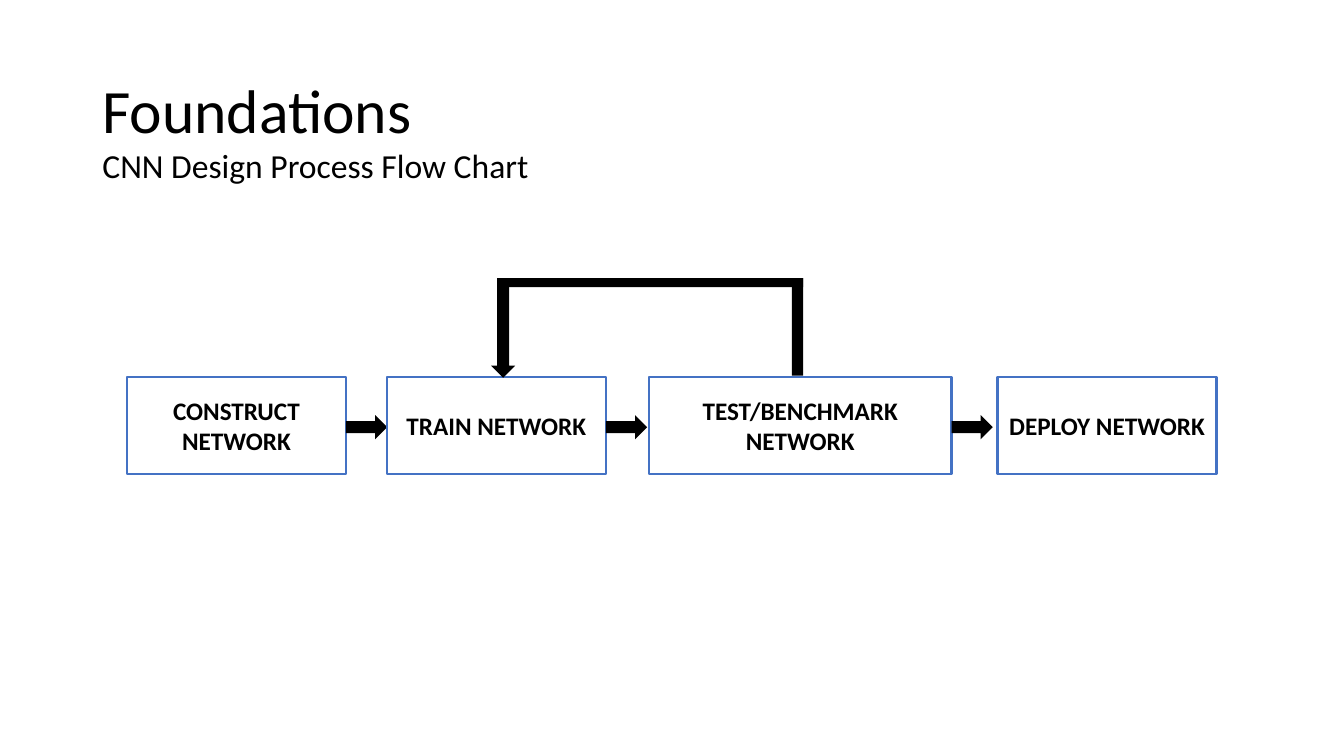
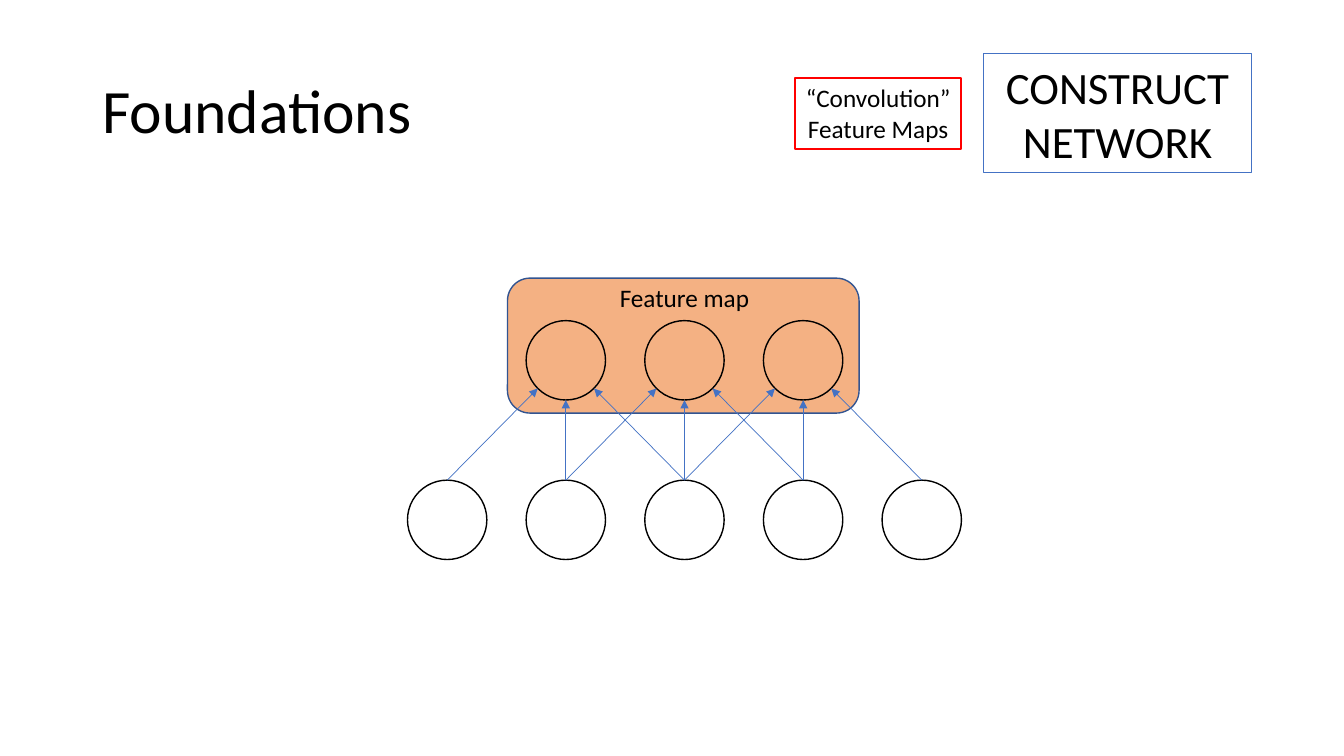
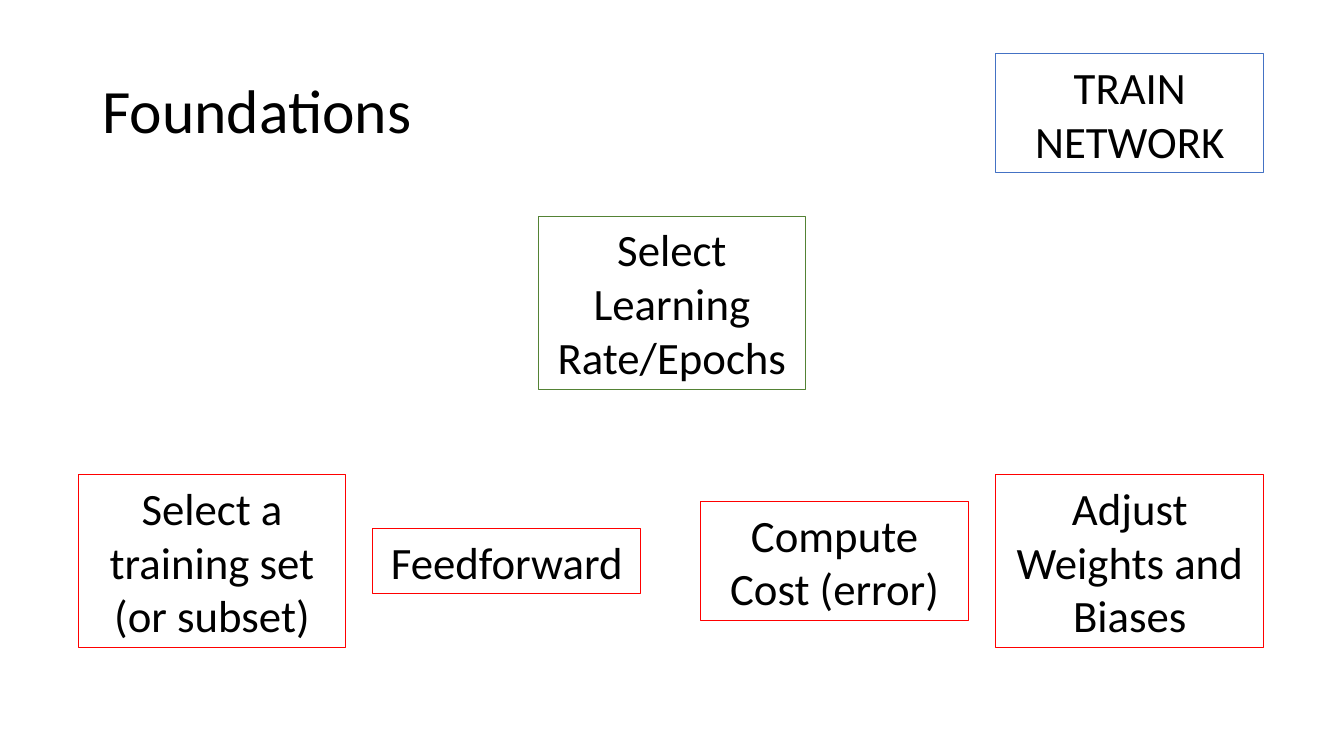
from pptx import Presentation
from pptx.dml.color import RGBColor
from pptx.enum.shapes import MSO_CONNECTOR, MSO_SHAPE
from pptx.enum.text import MSO_ANCHOR, PP_ALIGN
from pptx.oxml.ns import qn
from pptx.util import Cm, Pt
from lxml import etree

RECTANGLE = MSO_SHAPE.RECTANGLE
ROUNDED = MSO_SHAPE.ROUNDED_RECTANGLE
OVAL = MSO_SHAPE.OVAL
RIGHT_ARROW = MSO_SHAPE.RIGHT_ARROW
DOWN_ARROW = MSO_SHAPE.DOWN_ARROW
STRAIGHT = MSO_CONNECTOR.STRAIGHT
TOP, MIDDLE = MSO_ANCHOR.TOP, MSO_ANCHOR.MIDDLE
LEFT, CENTER = PP_ALIGN.LEFT, PP_ALIGN.CENTER

FONT = "Calibri"
BLACK = RGBColor(0x00, 0x00, 0x00)
BLUE = RGBColor(0x44, 0x72, 0xC4)
DARK_BLUE = RGBColor(0x32, 0x54, 0x91)
RED = RGBColor(0xFF, 0x00, 0x00)
GREEN = RGBColor(0x54, 0x82, 0x35)
ORANGE = RGBColor(0xF4, 0xB1, 0x83)

# Boxes are (left, top, width, height) in centimetres
TITLE_BOX = (2.33, 1.02, 29.21, 3.68)
SUBTITLE_BOX = (2.33, 3.76, 11.4, 0.91)
CARD_WIDTH = 6.75
CARD_LINE_HEIGHT = 1.37
CARD_PADDING = 0.26


# Shared parts
def set_text(shape, text, size=18, bold=False, align=CENTER, anchor=MIDDLE,
             spacing=1.0, wrap=True):
    frame = shape.text_frame
    frame.word_wrap = wrap
    frame.vertical_anchor = anchor
    frame.text = text
    for paragraph in frame.paragraphs:
        paragraph.alignment = align
        paragraph.line_spacing = spacing
        paragraph.font.name = FONT
        paragraph.font.size = Pt(size)
        paragraph.font.bold = bold
        paragraph.font.color.rgb = BLACK


def add_label(slide, box, text, **text_format):
    label = slide.shapes.add_textbox(*map(Cm, box))
    set_text(label, text, **text_format)


def add_shape(slide, kind, box, fill=None, line=None, line_width=1):
    shape = slide.shapes.add_shape(kind, *map(Cm, box))
    shape.shadow.inherit = False
    if fill is None:
        shape.fill.background()
    else:
        shape.fill.solid()
        shape.fill.fore_color.rgb = fill
    if line is None:
        shape.line.fill.background()
    else:
        shape.line.color.rgb = line
        shape.line.width = Pt(line_width)
    return shape


def add_arrow(slide, start, end):
    arrow = slide.shapes.add_connector(STRAIGHT, *map(Cm, start + end))
    arrow.line.color.rgb = BLUE
    arrow.line.width = Pt(0.5)
    etree.SubElement(arrow.line._get_or_add_ln(), qn("a:tailEnd"), type="triangle")
    etree.SubElement(arrow._element.spPr, qn("a:effectLst"))


def add_card(slide, left, middle, text, line_count, color):
    """Outlined card, centred vertically on middle."""
    height = line_count * CARD_LINE_HEIGHT + CARD_PADDING
    box = (left, middle - height / 2, CARD_WIDTH, height)
    card = add_shape(slide, RECTANGLE, box, line=color, line_width=0.75)
    set_text(card, text, size=32)


def add_titled_slide(presentation):
    slide = presentation.slides.add_slide(presentation.slide_layouts[6])
    add_label(slide, TITLE_BOX, "Foundations", size=44, align=LEFT, spacing=0.9)
    return slide


# Process flow
def add_process(slide, top, height, steps):
    arrow_width, arrow_height = 1.04, 0.61
    arrow_top = top + (height - arrow_height) / 2 + 0.04
    for index, (text, left, width) in enumerate(steps):
        step = add_shape(slide, RECTANGLE, (left, top, width, height),
                         line=BLUE, line_width=1.5)
        set_text(step, text, bold=True)
        if index < len(steps) - 1:
            arrow_box = (left + width, arrow_top, arrow_width, arrow_height)
            add_shape(slide, RIGHT_ARROW, arrow_box, fill=BLACK)


def add_feedback_loop(slide, box):
    left, top, width, height = box
    post, bar, arrow_width = 0.28, 0.23, 0.61
    arrow_left = left + post / 2 - arrow_width / 2
    add_shape(slide, RECTANGLE, (left + width - post, top, post, height - 0.05),
              fill=BLACK)
    add_shape(slide, RECTANGLE, (left, top, width, bar), fill=BLACK)
    add_shape(slide, DOWN_ARROW, (arrow_left, top, arrow_width, height), fill=BLACK)


# Convolution diagram
def add_circles(slide, left, top, count, diameter, pitch):
    """Row of circles; returns the centre x of each one."""
    for index in range(count):
        circle_box = (left + index * pitch, top, diameter, diameter)
        add_shape(slide, OVAL, circle_box, line=BLACK)
    return [left + index * pitch + diameter / 2 for index in range(count)]


def add_convolution(slide, box):
    left, top, width, height = box
    diameter = 2
    radius = diameter / 2
    diagonal = radius * 0.71
    pitch = (width - diameter) / 4
    feature_top = top + 1.07
    input_top = top + height - diameter

    add_shape(slide, ROUNDED, (left + 2.52, top, 8.86, 3.4),
              fill=ORANGE, line=DARK_BLUE)
    inputs = add_circles(slide, left, input_top, 5, diameter, pitch)
    features = add_circles(slide, left + pitch, feature_top, 3, diameter, pitch)

    # Each feature reads three neighbouring inputs
    feature_middle = feature_top + radius
    contacts = ((-diagonal, diagonal), (0, radius), (diagonal, diagonal))
    for index, feature in enumerate(features):
        for offset, (across, down) in enumerate(contacts):
            add_arrow(slide, (inputs[index + offset], input_top),
                      (feature + across, feature_middle + down))
    label_width = 4.98
    label_left = features[1] - label_width / 2
    add_label(slide, (label_left, top - 0.02, label_width, 1.02), "Feature map",
              anchor=TOP)


# Slides
def build_process_slide(presentation):
    slide = add_titled_slide(presentation)
    add_label(slide, SUBTITLE_BOX, "CNN Design Process Flow Chart",
              size=24, align=LEFT, spacing=0.9)
    add_process(slide, 9.5, 2.45, (
        ("CONSTRUCT NETWORK", 3.2, 5.52),
        ("TRAIN NETWORK", 9.75, 5.52),
        ("TEST/BENCHMARK NETWORK", 16.36, 7.62),
        ("DEPLOY NETWORK", 25.14, 5.52),
    ))
    add_feedback_loop(slide, (12.54, 7.01, 7.7, 2.51))


def build_construct_slide(presentation):
    slide = add_titled_slide(presentation)
    add_card(slide, 24.79, 2.86, "CONSTRUCT NETWORK", 2, BLUE)
    topic = add_shape(slide, RECTANGLE, (20.03, 1.96, 4.2, 1.8),
                      line=RED, line_width=1.5)
    set_text(topic, "“Convolution”\nFeature Maps", anchor=TOP, wrap=False)
    add_convolution(slide, (10.27, 7.01, 13.96, 7.09))


def build_train_slide(presentation):
    slide = add_titled_slide(presentation)
    add_card(slide, 25.1, 2.86, "TRAIN NETWORK", 2, BLUE)
    add_card(slide, 13.56, 7.63, "Select Learning Rate/Epochs", 3, GREEN)
    for left, text, line_count in (
        (1.97, "Select a training set (or subset)", 3),
        (9.4, "Feedforward", 1),
        (17.66, "Compute Cost (error)", 2),
        (25.1, "Adjust Weights and Biases", 3),
    ):
        add_card(slide, left, 14.14, text, line_count, RED)


presentation = Presentation()
presentation.slide_width = Cm(33.87)
presentation.slide_height = Cm(19.05)
build_process_slide(presentation)
build_construct_slide(presentation)
build_train_slide(presentation)
presentation.save("out.pptx")
